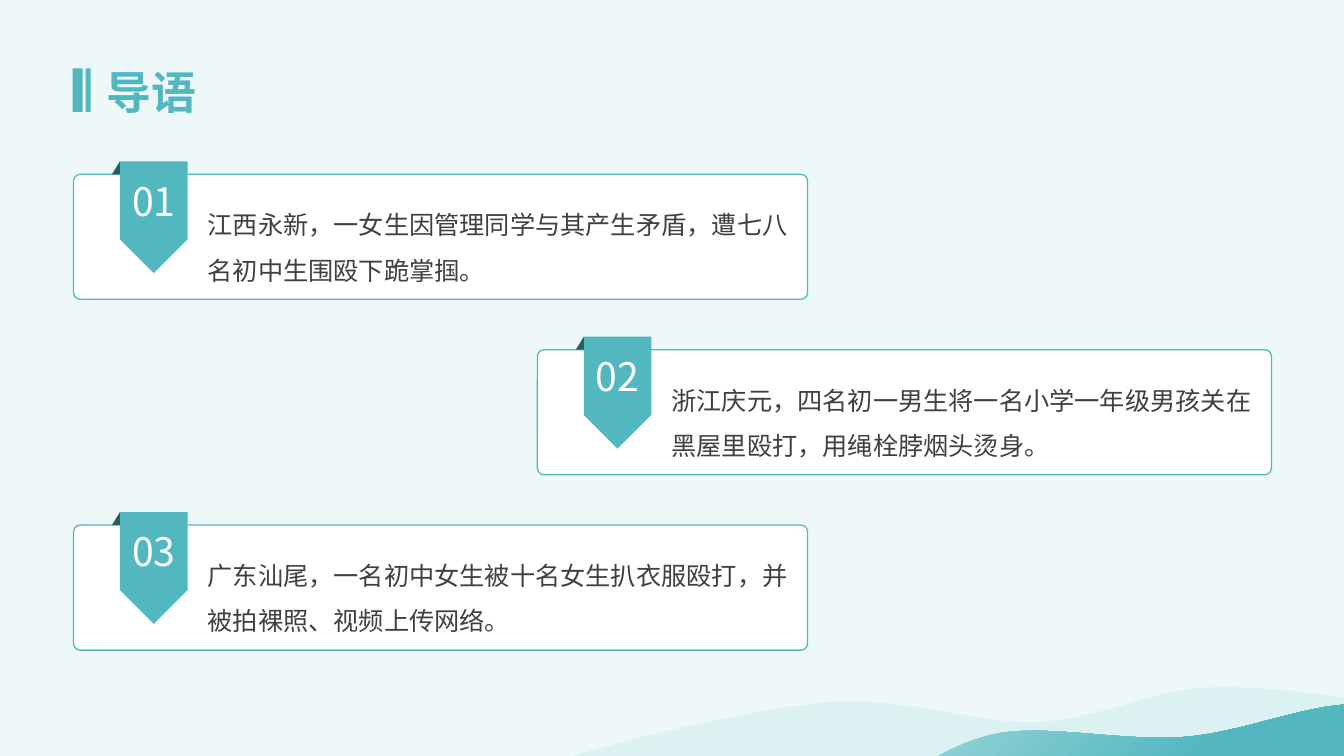
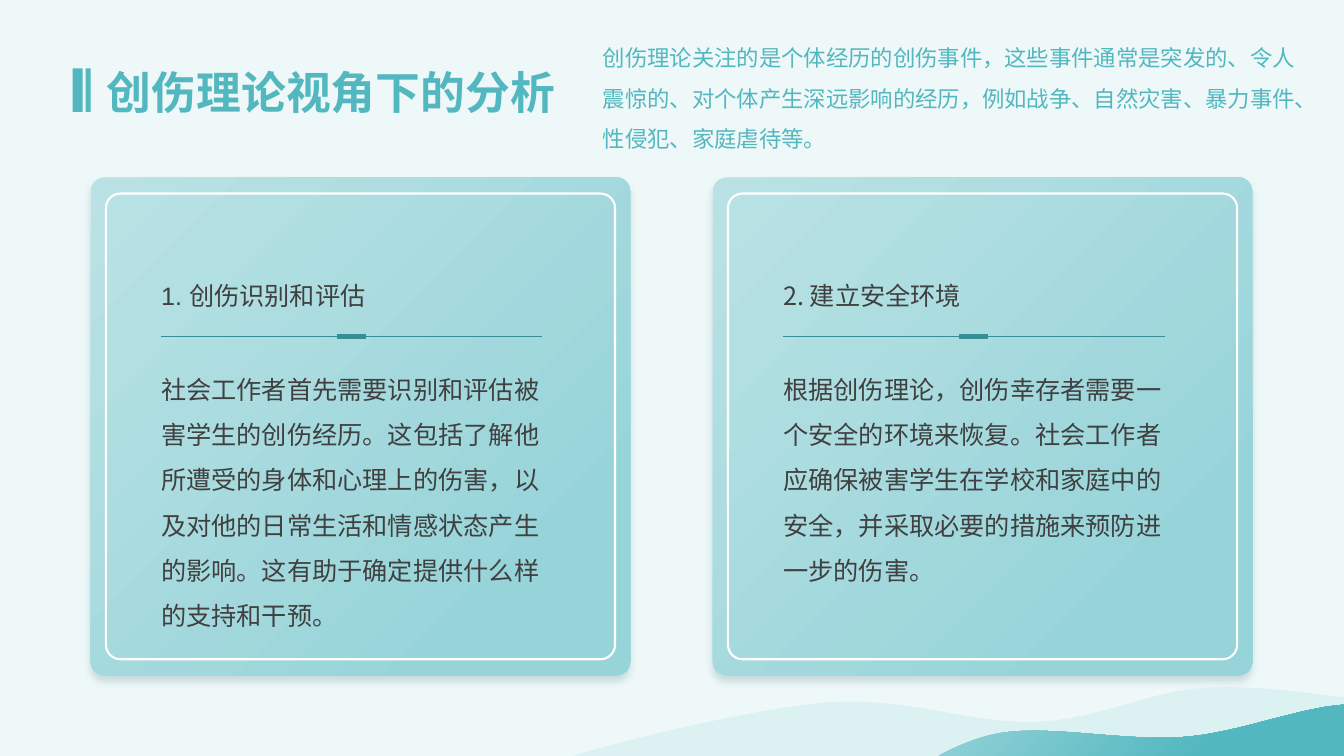
from dataclasses import dataclass

from lxml import etree
from pptx import Presentation
from pptx.dml.color import RGBColor
from pptx.enum.shapes import MSO_CONNECTOR, MSO_SHAPE
from pptx.enum.text import MSO_ANCHOR, PP_ALIGN
from pptx.oxml.ns import qn
from pptx.util import Inches, Pt

RECT = MSO_SHAPE.RECTANGLE
ROUND = MSO_SHAPE.ROUNDED_RECTANGLE
ARROW = MSO_SHAPE.DOWN_ARROW
TRIANGLE = MSO_SHAPE.RIGHT_TRIANGLE
STRAIGHT = MSO_CONNECTOR.STRAIGHT
LEFT, CENTER = PP_ALIGN.LEFT, PP_ALIGN.CENTER
TOP, MIDDLE = MSO_ANCHOR.TOP, MSO_ANCHOR.MIDDLE


@dataclass(frozen=True)
class Theme:
    bg: str = "EEF8F9"
    wave: str = "DCF1F2"
    accent: str = "52B7BF"
    soft: str = "97D4D9"
    pale: str = "BAE2E5"
    rule: str = "378F95"
    dark: str = "255F64"
    text: str = "404040"
    white: str = "FFFFFF"
    font: str = "Noto Sans CJK SC"
    latin: str = "Arial"
    title: int = 32
    number: int = 28
    body: int = 18
    intro: int = 16


@dataclass(frozen=True)
class Gradient:
    start: str
    end: str
    stop: float


@dataclass(frozen=True)
class Case:
    number: str
    x: float
    text: str


@dataclass(frozen=True)
class Panel:
    heading: str
    text: str
    heading_font: str
    text_height: float


T = Theme()
INSETS = (0.1, 0.05)

# Wave outlines: a start point, then line ends (2 numbers) or curves (6 numbers)
BACK_WAVE = [
    (12.04, 6.82), (12.35, 6.81, 12.74, 6.84, 13.1, 6.89), (13.33, 6.92),
    (13.33, 7.5), (5.68, 7.5), (5.85, 7.45),
    (6.55, 7.25, 7.53, 7.04, 8.08, 6.98),
    (8.94, 6.88, 9.62, 7.19, 10.29, 7.16),
    (10.95, 7.13, 11.43, 6.83, 12.04, 6.82),
]
FRONT_WAVE = [
    (13.33, 6.99), (13.33, 7.5), (9.31, 7.5), (9.36, 7.47),
    (9.52, 7.39, 9.69, 7.32, 9.88, 7.28),
    (10.38, 7.18, 11.14, 7.36, 11.76, 7.31),
    (12.23, 7.27, 12.69, 7.09, 13.16, 7.01),
]

CASES = [
    Case("01", 0.73, "江西永新，一女生因管理同学与其产生矛盾，遭七八名初中生围殴下跪掌掴。"),
    Case("02", 5.33, "浙江庆元，四名初一男生将一名小学一年级男孩关在黑屋里殴打，用绳栓脖烟头烫身。"),
    Case("03", 0.73, "广东汕尾，一名初中女生被十名女生扒衣服殴打，并被拍裸照、视频上传网络。"),
]
PANELS = [
    Panel("1. 创伤识别和评估",
          "社会工作者首先需要识别和评估被害学生的创伤经历。这包括了解他所遭受的身体和心理上的伤害，"
          "以及对他的日常生活和情感状态产生的影响。这有助于确定提供什么样的支持和干预。", T.latin, 2.78),
    Panel("2. 建立安全环境",
          "根据创伤理论，创伤幸存者需要一个安全的环境来恢复。社会工作者应确保被害学生在学校和家庭中的安全，"
          "并采取必要的措施来预防进一步的伤害。", T.font, 2.32),
]
INTRO = ("创伤理论关注的是个体经历的创伤事件，这些事件通常是突发的、令人震惊的、"
         "对个体产生深远影响的经历，例如战争、自然灾害、暴力事件、性侵犯、家庭虐待等。")


def rgb(color: str) -> RGBColor:
    return RGBColor.from_string(color)


# Drawing helpers: s is a slide or a group
def paint(sp, fill: str | Gradient | None, line: str | None = None, width: float = 1) -> None:
    sp.shadow.inherit = False
    if isinstance(fill, Gradient):
        sp.fill.gradient()
        sp.fill.gradient_angle = 315
        first, last = sp.fill.gradient_stops
        first.color.rgb, last.color.rgb = rgb(fill.start), rgb(fill.end)
        last.position = fill.stop
    elif fill:
        sp.fill.solid()
        sp.fill.fore_color.rgb = rgb(fill)
    else:
        sp.fill.background()
    if line:
        sp.line.color.rgb = rgb(line)
        sp.line.width = Pt(width)
    else:
        sp.line.fill.background()


def add_shape(s, kind, x: float, y: float, w: float, h: float, fill, line=None,
              width: float = 1, adj: tuple = ()):
    sp = s.shapes.add_shape(kind, Inches(x), Inches(y), Inches(w), Inches(h))
    for i, value in enumerate(adj):
        sp.adjustments[i] = value
    paint(sp, fill, line, width)
    return sp


def write(tf, text: str, *, size: int, color: str, font: str = T.font, bold: bool = False,
          align=LEFT, anchor=TOP, spacing: float = 1.0, insets: tuple = (0, 0)) -> None:
    tf.word_wrap = True
    tf.vertical_anchor = anchor
    tf.margin_left = tf.margin_right = Inches(insets[0])
    tf.margin_top = tf.margin_bottom = Inches(insets[1])
    p = tf.paragraphs[0]
    p.alignment = align
    p.line_spacing = spacing
    r = p.add_run()
    r.text = text
    r.font.size = Pt(size)
    r.font.bold = bold
    r.font.color.rgb = rgb(color)
    r.font.name = font
    etree.SubElement(r.font._element, qn("a:ea")).set("typeface", T.font)


def add_text(s, x: float, y: float, w: float, h: float, text: str, **fmt) -> None:
    sp = s.shapes.add_textbox(Inches(x), Inches(y), Inches(w), Inches(h))
    write(sp.text_frame, text, **fmt)


def add_line(s, x1: float, x2: float, y: float, width: float) -> None:
    cxn = s.shapes.add_connector(STRAIGHT, Inches(x1), Inches(y), Inches(x2), Inches(y))
    cxn.line.color.rgb = rgb(T.rule)
    cxn.line.width = Pt(width)
    etree.SubElement(cxn._element.spPr, qn("a:effectLst"))


def add_shadow(sp, color: str, alpha: int, blur: float, dist: float) -> None:
    effects = sp._element.spPr.find(qn("a:effectLst"))
    shadow = etree.SubElement(effects, qn("a:outerShdw"), blurRad=str(Pt(blur)),
                              dist=str(Pt(dist)), dir="5400000", algn="t", rotWithShape="0")
    clr = etree.SubElement(shadow, qn("a:srgbClr"), val=color)
    etree.SubElement(clr, qn("a:alpha"), val=str(alpha * 1000))


def add_wave(s, outline: list[tuple], fill: str | Gradient) -> None:
    points = [(Inches(seg[i]), Inches(seg[i + 1]))
              for seg in outline for i in range(0, len(seg), 2)]
    fb = s.shapes.build_freeform(*points[0])
    fb.add_line_segments(points[1:], close=True)
    sp = fb.convert_to_shape()
    # Join the three points of each curve into one Bezier segment
    lines = iter(list(sp._element.iter(qn("a:lnTo"))))
    for seg in outline[1:]:
        nodes = [next(lines) for _ in range(len(seg) // 2)]
        if len(nodes) == 3:
            curve = etree.Element(qn("a:cubicBezTo"))
            nodes[0].addprevious(curve)
            for node in nodes:
                curve.append(node[0])
                node.getparent().remove(node)
    paint(sp, fill)


# Shared slide frame: background, waves, title bars, title
def new_slide(prs, title: str):
    s = prs.slides.add_slide(prs.slide_layouts[6])
    s.background.fill.solid()
    s.background.fill.fore_color.rgb = rgb(T.bg)
    add_wave(s, BACK_WAVE, T.wave)
    for x, w in ((0.72, 0.1), (0.85, 0.05)):
        add_shape(s, RECT, x, 0.68, w, 0.43, T.accent)
    add_wave(s, FRONT_WAVE, Gradient(T.soft, T.accent, 0.69))
    add_text(s, 1.06, 0.64, 5.6, 0.54, title, size=T.title, color=T.accent, bold=True)
    return s


def add_case(s, case: Case, y: float) -> None:
    x = case.x
    g = s.shapes.add_group_shape()
    add_shape(g, ROUND, x, y, 7.28, 1.24, T.white, T.accent, 0.9, (0.053,))
    ribbon = add_shape(g, ARROW, x + 0.46, y - 0.13, 0.67, 1.11, T.accent, adj=(1, 0.5))
    write(ribbon.text_frame, case.number, size=T.number, color=T.white,
          align=CENTER, anchor=MIDDLE, insets=(0.09, 0.04))
    fold = add_shape(g, TRIANGLE, x + 0.38, y - 0.13, 0.08, 0.13, T.dark)
    fold.rotation = 180
    fold._element.spPr.xfrm.set("flipV", "1")
    add_text(g, x + 1.33, y + 0.2, 5.79, 0.86, case.text,
             size=T.body, color=T.text, spacing=1.5)


def add_panel(s, panel: Panel, x: float, y: float) -> None:
    card = add_shape(s, ROUND, x, y, 5.35, 4.94, Gradient(T.pale, T.soft, 0.81), adj=(0.028,))
    add_shadow(card, T.dark, 20, 6, 4)
    add_shape(s, ROUND, x + 0.15, y + 0.16, 5.05, 4.62, None, T.white, 1.5, (0.031,))
    fmt = dict(size=T.body, color=T.text, spacing=1.5, insets=INSETS)
    add_text(s, x + 0.6, y + 0.82, 4.16, 0.5, panel.heading, font=panel.heading_font, **fmt)
    add_text(s, x + 0.6, y + 1.75, 4.16, panel.text_height, panel.text, **fmt)
    g = s.shapes.add_group_shape()
    for start, end, width in ((0.7, 4.48, 0.5), (2.44, 2.73, 4)):
        add_line(g, x + start, x + end, y + 1.58, width)


def main() -> None:
    prs = Presentation()
    prs.slide_width, prs.slide_height = Inches(13.33), Inches(7.5)

    # Slide 1: three cases
    s = new_slide(prs, "导语")
    for i, case in enumerate(CASES):
        add_case(s, case, 1.73 + 1.74 * i)

    # Slide 2: two panels and an introduction
    s = new_slide(prs, "创伤理论视角下的分析")
    for i, panel in enumerate(PANELS):
        add_panel(s, panel, 0.9 + 6.17 * i, 1.76)
    add_text(s, 5.98, 0.31, 7.07, 1.16, INTRO, size=T.intro, color=T.accent, spacing=1.5)

    prs.save("out.pptx")


if __name__ == "__main__":
    main()
